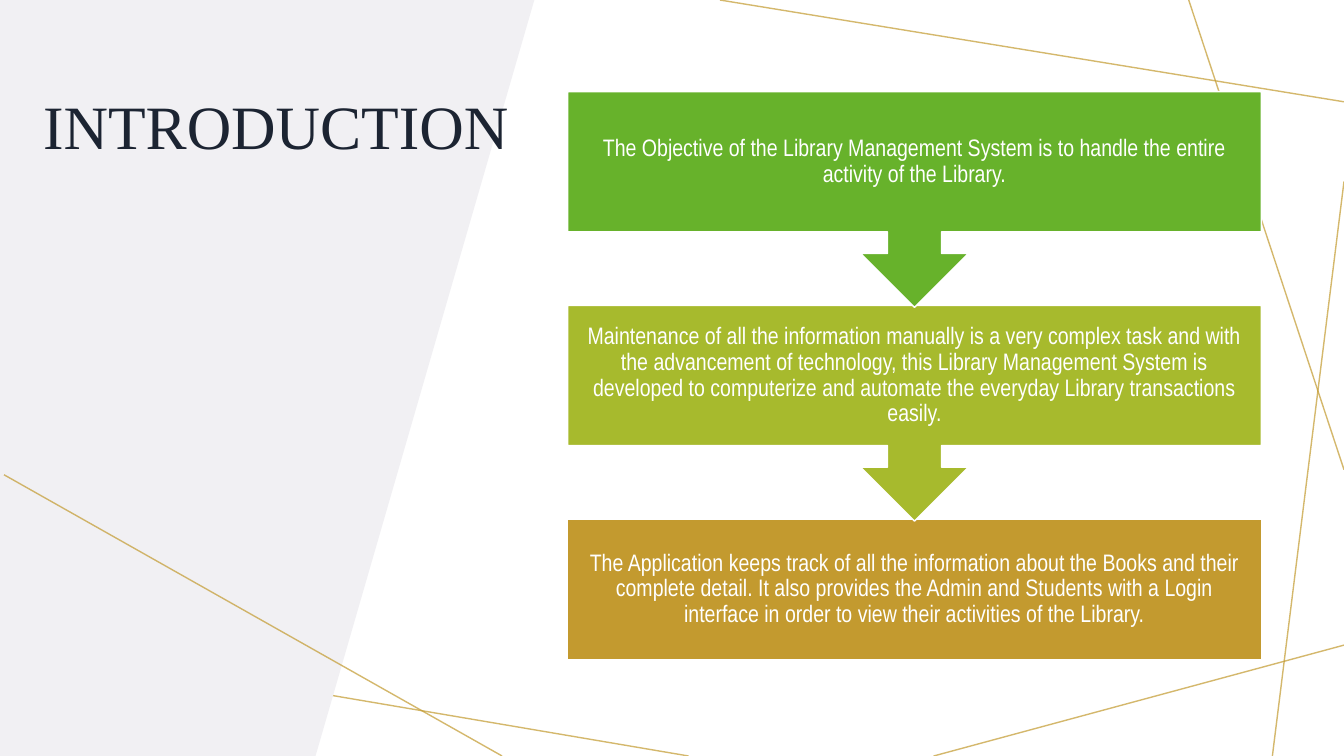
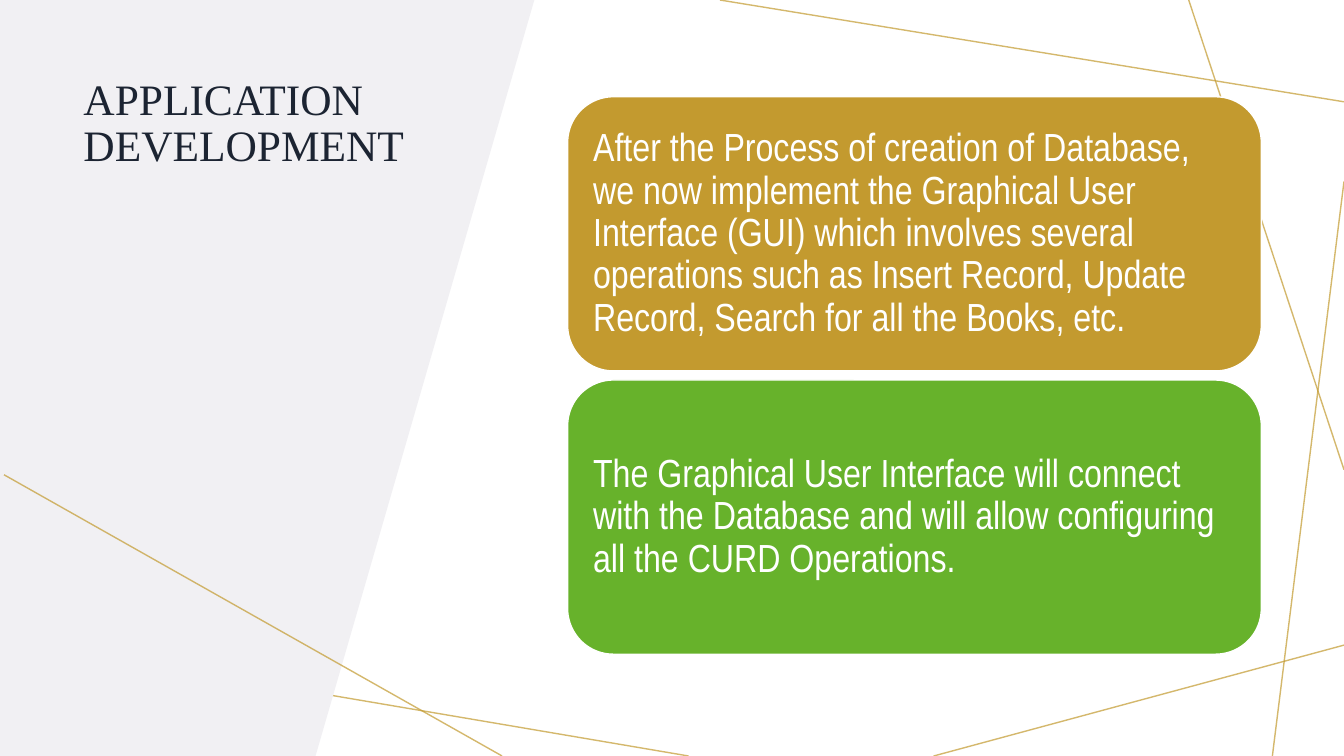
from dataclasses import dataclass

from lxml import etree
from pptx import Presentation
from pptx.dml.color import RGBColor
from pptx.enum.shapes import MSO_CONNECTOR, MSO_SHAPE
from pptx.enum.text import MSO_ANCHOR, PP_ALIGN
from pptx.oxml.ns import qn
from pptx.util import Inches, Pt

STRAIGHT = MSO_CONNECTOR.STRAIGHT
RECTANGLE = MSO_SHAPE.RECTANGLE
ROUNDED = MSO_SHAPE.ROUNDED_RECTANGLE
DOWN_CALLOUT = MSO_SHAPE.DOWN_ARROW_CALLOUT
MIDDLE = MSO_ANCHOR.MIDDLE
LEFT, CENTER = PP_ALIGN.LEFT, PP_ALIGN.CENTER

COLORS = {
    "gold": "C39A2F",
    "lime": "A7BA2D",
    "green": "67B22B",
    "panel": "F1F0F3",
    "title": "1C2432",
    "white": "FFFFFF",
}
TITLE_FONT, BODY_FONT = "Times New Roman", "Arial Narrow"
LINE_SPACING = 0.9
LINE_OPACITY = 70000

SLIDE_W, SLIDE_H = 13.33, 7.5
CARD_LEFT, CARD_W = 5.63, 6.88
STEP_TOP, STEP_PITCH, STEP_H, CALLOUT_H = 0.91, 2.12, 1.39, 2.14
BLOCK_TOP, BLOCK_PITCH, BLOCK_H = 0.96, 2.81, 2.72

PANEL_OUTLINE = [(3.13, SLIDE_H), (0, SLIDE_H), (0, 0), (5.3, 0)]


@dataclass(frozen=True)
class Ray:
    x1: float
    y1: float
    x2: float
    y2: float


@dataclass(frozen=True)
class Title:
    text: str
    left: float
    top: float
    width: float
    size: int


@dataclass(frozen=True)
class Card:
    text: str
    color: str


@dataclass(frozen=True)
class CardStyle:
    size: int
    align: PP_ALIGN
    inset: float


RAYS_BEHIND = [
    Ray(6.83, 7.5, 0, 6.34),
    Ray(13.33, 6.4, 9.26, 7.5),
    Ray(13.33, 1.8, 12.62, 7.5),
    Ray(13.33, 4.66, 11.79, 0),
    Ray(13.33, 1.01, 7.14, 0),
]
RAY_IN_FRONT = Ray(0.04, 4.71, 4.98, 7.5)

STEP_STYLE = CardStyle(17, CENTER, 0.13)
BLOCK_STYLE = CardStyle(28, LEFT, 0.12)

INTRODUCTION = Title("INTRODUCTION", 0.33, 0.91, 4.9, 44)
STEPS = [
    Card("The Objective of the Library Management System is to handle the "
         "entire activity of the Library.", "green"),
    Card("Maintenance of all the information manually is a very complex task "
         "and with the advancement of technology, this Library Management "
         "System is developed to computerize and automate the everyday "
         "Library transactions easily.", "lime"),
    Card("The Application keeps track of all the information about the Books "
         "and their complete detail. It also provides the Admin and Students "
         "with a Login interface in order to view their activities of the "
         "Library.", "gold"),
]

DEVELOPMENT = Title("APPLICATION DEVELOPMENT", 0.73, 0.72, 3.53, 31)
BLOCKS = [
    Card("After the Process of creation of Database, we now implement the "
         "Graphical User Interface (GUI) which involves several operations "
         "such as Insert Record, Update Record, Search for all the Books, "
         "etc.", "gold"),
    Card("The Graphical User Interface will connect with the Database and "
         "will allow configuring all the CURD Operations.", "green"),
]


def rgb(name: str) -> RGBColor:
    return RGBColor.from_string(COLORS[name])


def write(frame, text: str, font: str, size: int, color: str, align: PP_ALIGN) -> None:
    frame.word_wrap = True
    paragraph = frame.paragraphs[0]
    paragraph.text = text
    paragraph.alignment = align
    paragraph.line_spacing = LINE_SPACING
    paragraph.font.name = font
    paragraph.font.size = Pt(size)
    paragraph.font.color.rgb = rgb(color)


def add_ray(slide, ray: Ray) -> None:
    line = slide.shapes.add_connector(
        STRAIGHT, Inches(ray.x1), Inches(ray.y1), Inches(ray.x2), Inches(ray.y2))
    line.line.color.rgb = rgb("gold")
    line.line.width = Pt(1)
    properties = line._element.spPr
    etree.SubElement(properties, qn("a:effectLst"))
    tint = properties.find(".//" + qn("a:srgbClr"))
    etree.SubElement(tint, qn("a:alpha"), val=str(LINE_OPACITY))


def add_panel(slide) -> None:
    corners = [(Inches(x), Inches(y)) for x, y in PANEL_OUTLINE]
    builder = slide.shapes.build_freeform(*corners[0])
    builder.add_line_segments(corners[1:], close=True)
    panel = builder.convert_to_shape()
    panel.shadow.inherit = False
    panel.fill.solid()
    panel.fill.fore_color.rgb = rgb("panel")
    panel.line.fill.background()


def add_base(deck, title: Title):
    """Start a slide with the shared backdrop and its title."""
    slide = deck.slides.add_slide(deck.slide_layouts[6])
    for ray in RAYS_BEHIND:
        add_ray(slide, ray)
    add_panel(slide)
    heading = slide.shapes.add_textbox(
        Inches(title.left), Inches(title.top), Inches(title.width), Inches(3.9))
    write(heading.text_frame, title.text, TITLE_FONT, title.size, "title", LEFT)
    add_ray(slide, RAY_IN_FRONT)
    return slide


def add_card(slide, card: Card, preset: MSO_SHAPE, top: float, height: float,
             style: CardStyle) -> None:
    box = slide.shapes.add_shape(
        preset, Inches(CARD_LEFT), Inches(top), Inches(CARD_W), Inches(height))
    box.shadow.inherit = False
    box.fill.solid()
    box.fill.fore_color.rgb = rgb(card.color)
    box.line.color.rgb = rgb("white")
    box.line.width = Pt(1)
    frame = box.text_frame
    frame.vertical_anchor = MIDDLE
    frame.margin_left = frame.margin_right = Inches(style.inset)
    frame.margin_top = frame.margin_bottom = Inches(style.inset)
    write(frame, card.text, BODY_FONT, style.size, "white", style.align)


def add_introduction(deck) -> None:
    slide = add_base(deck, INTRODUCTION)
    last = len(STEPS) - 1
    # Bottom step first, so each arrow tip lies over the step below
    for row in range(last, -1, -1):
        preset, height = (RECTANGLE, STEP_H) if row == last else (DOWN_CALLOUT, CALLOUT_H)
        add_card(slide, STEPS[row], preset, STEP_TOP + row * STEP_PITCH, height, STEP_STYLE)


def add_development(deck) -> None:
    slide = add_base(deck, DEVELOPMENT)
    for row, block in enumerate(BLOCKS):
        add_card(slide, block, ROUNDED, BLOCK_TOP + row * BLOCK_PITCH, BLOCK_H, BLOCK_STYLE)


def main() -> None:
    deck = Presentation()
    deck.slide_width, deck.slide_height = Inches(SLIDE_W), Inches(SLIDE_H)
    add_introduction(deck)
    add_development(deck)
    deck.save("out.pptx")


if __name__ == "__main__":
    main()
